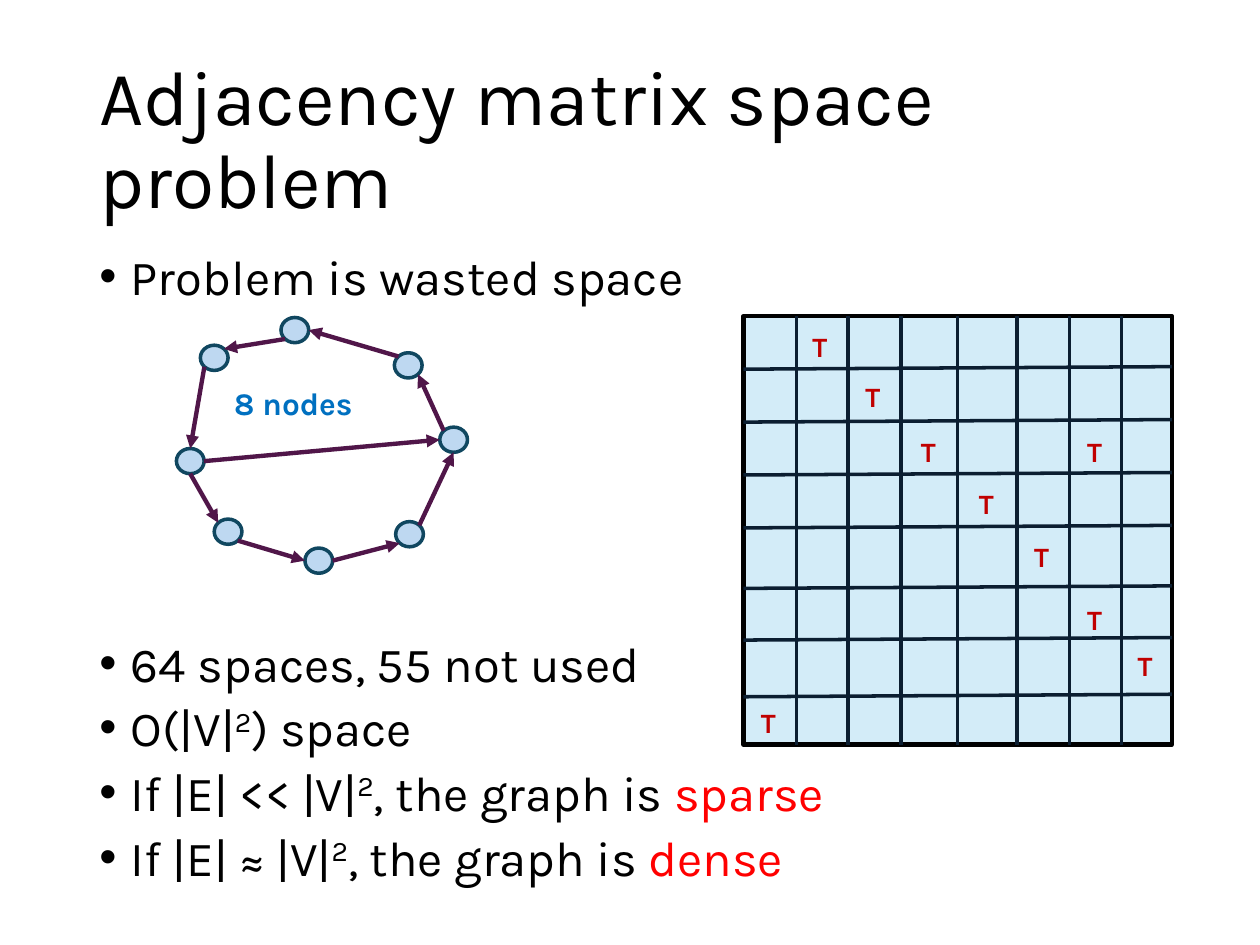
from math import cos, pi, sin
from typing import NamedTuple

from lxml.etree import SubElement
from pptx import Presentation
from pptx.dml.color import RGBColor
from pptx.enum.shapes import MSO_CONNECTOR as Connector, MSO_SHAPE as Shape
from pptx.enum.text import MSO_ANCHOR as Anchor, MSO_AUTO_SIZE as AutoSize
from pptx.oxml.ns import qn
from pptx.util import Inches, Pt

FONT = "Karla"
BLACK, RED = "000000", "FF0000"
NODE_WIDTH, NODE_HEIGHT = 0.22, 0.2


class Span(NamedTuple):
    text: str
    color: str = BLACK
    raised: bool = False


class Node(NamedTuple):
    left: float
    top: float


class Edge(NamedTuple):
    """A directed edge; sites run counterclockwise from 0 (top) to 7."""
    source: int
    source_site: int
    target: int
    target_site: int


NODES = [Node(2.23, 2.52), Node(1.59, 2.74), Node(1.4, 3.56), Node(1.7, 4.12),
         Node(2.42, 4.35), Node(3.14, 4.14), Node(3.49, 3.39), Node(3.13, 2.8)]
EDGES = [Edge(0, 3, 1, 7), Edge(1, 3, 2, 0), Edge(2, 4, 3, 1), Edge(2, 6, 6, 2),
         Edge(3, 5, 4, 2), Edge(4, 6, 5, 3), Edge(5, 7, 6, 4), Edge(6, 1, 7, 5),
         Edge(7, 1, 0, 6)]

MATRIX_LEFT, MATRIX_TOP, MATRIX_SIZE = 5.9, 2.51, 3.4
COLUMN_LINES = [6.32, 6.73, 7.15, 7.6, 8.07, 8.49, 8.9]
ROW_LINES = [2.93, 3.35, 3.77, 4.19, 4.67, 5.08, 5.53]
ROW_RISE = 0.02
MARK_LEFTS = [5.94, 6.35, 6.77, 7.21, 7.67, 8.11, 8.53, 8.93]
MARK_TOPS = [2.57, 2.96, 3.4, 3.81, 4.23, 4.73, 5.1, 5.55]

SQUARED = Span("2", raised=True)
BULLETS = [
    [Span("Problem is wasted space")],
    [Span("64 spaces, 55 not used")],
    [Span("O(|V|"), SQUARED, Span(") space")],
    [Span("If |E| << |V|"), SQUARED, Span(", the graph is "), Span("sparse", RED)],
    [Span("If |E| ≈ |V|"), SQUARED, Span(", the graph is "), Span("dense", RED)],
]
BULLET_GAP, GRAPH_GAP = 10, 194  # points; the larger one leaves room for the graph


def rgb(color: str) -> RGBColor:
    return RGBColor.from_string(color)


def add_run(para, span: Span, size: float, bold: bool = False) -> None:
    run = para.add_run()
    run.text = span.text
    run.font.name = FONT
    run.font.size = Pt(size)
    run.font.bold = bold
    run.font.color.rgb = rgb(span.color)
    if span.raised:
        run.font._element.set("baseline", "30000")


def add_box(shapes, left: float, top: float, width: float, height: float):
    box = shapes.add_textbox(Inches(left), Inches(top), Inches(width), Inches(height))
    box.text_frame.word_wrap = True
    return box.text_frame


def add_label(shapes, left: float, top: float, width: float, height: float,
              span: Span, size: float) -> None:
    frame = add_box(shapes, left, top, width, height)
    frame.auto_size = AutoSize.SHAPE_TO_FIT_TEXT
    add_run(frame.paragraphs[0], span, size, bold=True)


def add_filled(shapes, kind: Shape, left: float, top: float, width: float, height: float,
               fill: str, opacity: int, line: str, weight: float):
    """Add a shape with a fill of the given opacity in percent."""
    shape = shapes.add_shape(kind, Inches(left), Inches(top), Inches(width), Inches(height))
    shape.shadow.inherit = False
    shape.fill.solid()
    shape.fill.fore_color.rgb = rgb(fill)
    color = shape._element.spPr.find(qn("a:solidFill"))[0]
    SubElement(color, qn("a:alpha"), val=str(opacity * 1000))
    shape.line.color.rgb = rgb(line)
    shape.line.width = Pt(weight)
    return shape


def add_line(shapes, start: tuple[float, float], end: tuple[float, float],
             color: str, weight: float):
    line = shapes.add_connector(Connector.STRAIGHT, *map(Inches, start + end))
    line.line.color.rgb = rgb(color)
    line.line.width = Pt(weight)
    SubElement(line._element.spPr, qn("a:effectLst"))
    return line


def site_point(node: Node, site: int) -> tuple[float, float]:
    angle = site * pi / 4
    return (node.left + NODE_WIDTH / 2 * (1 - sin(angle)),
            node.top + NODE_HEIGHT / 2 * (1 - cos(angle)))


def add_arrow(shapes, edge: Edge, circles: list) -> None:
    """Draw an edge and join it to its circles at their eight-way sites."""
    arrow = add_line(shapes, site_point(NODES[edge.source], edge.source_site),
                     site_point(NODES[edge.target], edge.target_site), "501649", 2.5)
    SubElement(arrow.line._get_or_add_ln(), qn("a:tailEnd"), type="triangle")
    joints = arrow._element.nvCxnSpPr.cNvCxnSpPr
    for tag, node, site in (("a:stCxn", edge.source, edge.source_site),
                            ("a:endCxn", edge.target, edge.target_site)):
        SubElement(joints, qn(tag), id=str(circles[node].shape_id), idx=str(site))


def add_title(page) -> None:
    frame = add_box(page.shapes, 0.69, 0.4, 8.62, 1.45)
    frame.vertical_anchor = Anchor.MIDDLE
    para = frame.paragraphs[0]
    para.line_spacing = 0.9
    add_run(para, Span("Adjacency matrix space problem"), 44)


def add_bullets(page) -> None:
    frame = add_box(page.shapes, 0.69, 2, 8.62, 5.5)
    for index, spans in enumerate(BULLETS):
        para = frame.add_paragraph() if index else frame.paragraphs[0]
        para.line_spacing = 0.8
        para.space_before = Pt(GRAPH_GAP if index == 1 else BULLET_GAP)
        settings = para._p.get_or_add_pPr()
        settings.set("marL", str(Inches(0.25)))
        settings.set("indent", str(Inches(-0.25)))
        SubElement(settings, qn("a:buFont"), typeface="Arial")
        SubElement(settings, qn("a:buChar"), char="•")
        for span in spans:
            add_run(para, span, 28)


def add_graph(page) -> None:
    shapes = page.shapes.add_group_shape().shapes
    circles = [add_filled(shapes, Shape.OVAL, node.left, node.top, NODE_WIDTH, NODE_HEIGHT,
                          "71AAE0", 45, "104760", 2) for node in NODES]
    for edge in EDGES:
        add_arrow(shapes, edge, circles)
    add_label(shapes, 1.76, 3, 1.33, 0.4, Span("8 nodes", "0070C0"), 18)


def add_matrix(page) -> None:
    """Draw the grid, with a mark in row source, column target for each edge."""
    shapes = page.shapes.add_group_shape().shapes
    right, bottom = MATRIX_LEFT + MATRIX_SIZE, MATRIX_TOP + MATRIX_SIZE
    add_filled(shapes, Shape.RECTANGLE, MATRIX_LEFT, MATRIX_TOP, MATRIX_SIZE, MATRIX_SIZE,
               "83CBEB", 35, BLACK, 2.5)
    for x in COLUMN_LINES:
        add_line(shapes, (x, MATRIX_TOP), (x, bottom), "0B1E31", 2)
    for y in ROW_LINES:
        add_line(shapes, (MATRIX_LEFT, y), (right, y - ROW_RISE), "0B1E31", 2)
    for edge in EDGES:
        add_label(shapes, MARK_LEFTS[edge.target], MARK_TOPS[edge.source], 0.33, 0.37,
                  Span("T", "C00000"), 16)


def main() -> None:
    deck = Presentation()
    deck.slide_width, deck.slide_height = Inches(10), Inches(7.5)
    page = deck.slides.add_slide(deck.slide_layouts[6])
    add_title(page)
    add_bullets(page)
    add_graph(page)
    add_matrix(page)
    deck.save("out.pptx")


if __name__ == "__main__":
    main()
